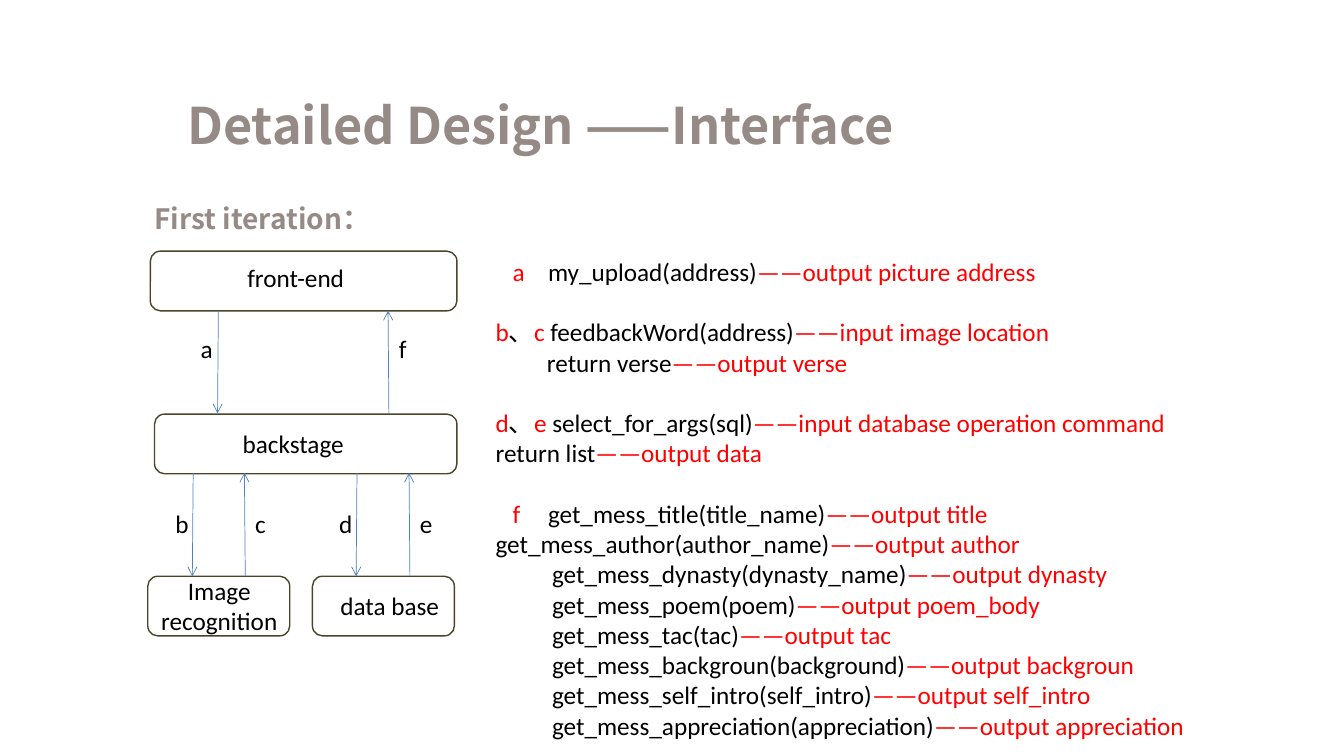
"""Build the interface design slide: a flow of modules beside a list of calls."""
from dataclasses import dataclass

from lxml.etree import SubElement
from pptx import Presentation
from pptx.dml.color import RGBColor
from pptx.enum.shapes import MSO_CONNECTOR, MSO_SHAPE
from pptx.enum.text import MSO_ANCHOR, MSO_AUTO_SIZE, PP_ALIGN
from pptx.oxml.ns import qn
from pptx.util import Inches, Pt

INK = {"head": "968A87", "text": "000000", "note": "FF0000",
       "edge": "4A452A", "flow": "4F81BD"}
SANS, BODY = "Noto Sans CJK SC", "Calibri"
COLS, ROWS = 160, 90
PITCH = 21.6

deck = Presentation()
deck.slide_width, deck.slide_height = Inches(13.33), Inches(7.5)
slide = deck.slides.add_slide(deck.slide_layouts[1])


@dataclass
class Area:
    col: float
    row: float
    wide: float
    high: float


@dataclass
class Node:
    name: str
    box: Area
    label: Area


@dataclass
class Tier:
    top: float
    end: float
    tag: float


@dataclass
class Arrow:
    tag: str
    col: float
    tier: Tier
    down: bool


@dataclass
class Call:
    code: str
    note: str
    mark: str = ""
    left: float = 0
    hang: float = 0
    gap: bool = False


UPPER, LOWER = Tier(37, 49.2, 39.1), Tier(56.3, 68.6, 59.9)
NODES = [
    Node("front-end", Area(17.9, 29.9, 36.5, 7.1), Area(18.6, 30.7, 33.2, 4.8)),
    Node("backstage", Area(18.4, 49.3, 36, 7.1), Area(17.9, 50.4, 34, 4.8)),
    Node("data base", Area(37.2, 68.6, 16.9, 7.1), Area(38.5, 69.7, 15.8, 4.8)),
    Node("Image recognition", Area(17.6, 68.6, 16.9, 7.1), Area(17.2, 67.9, 17.8, 8.5)),
]
ARROWS = [
    Arrow("a", 26, UPPER, True), Arrow("f", 46.3, UPPER, False),
    Arrow("b", 23, LOWER, True), Arrow("c", 29.2, LOWER, False),
    Arrow("d", 42.5, LOWER, True), Arrow("e", 48.8, LOWER, False),
]
CALLS = [
    Call("my_upload(address)", "output picture address", "a\t", 0.52, 0.35),
    Call("feedbackWord(address)", "input image location", "b、c ", gap=True),
    Call("return verse", "output verse", left=0.51),
    Call("select_for_args(sql)", "input database operation command", "d、e ", gap=True),
    Call("return list", "output data"),
    Call("get_mess_title(title_name)", "output title", "f\t", 0.52, 0.35, True),
    Call("get_mess_author(author_name)", "output author"),
] + [Call(f"get_mess_{code}", f"output {note}", left=0.56) for code, note in (
    ("dynasty(dynasty_name)", "dynasty"), ("poem(poem)", "poem_body"),
    ("tac(tac)", "tac"), ("backgroun(background)", "backgroun"),
    ("self_intro(self_intro)", "self_intro"),
    ("appreciation(appreciation)", "appreciation"))]


def across(cols: float) -> int:
    return round(deck.slide_width * cols / COLS)


def along(rows: float) -> int:
    return round(deck.slide_height * rows / ROWS)


def span(area: Area) -> tuple:
    return across(area.col), along(area.row), across(area.wide), along(area.high)


def setup(shape, anchor=MSO_ANCHOR.TOP):
    frame = shape.text_frame
    frame.auto_size = MSO_AUTO_SIZE.NONE
    frame.word_wrap = True
    frame.vertical_anchor = anchor
    return frame


def write(para, text: str, size: float = 18, font: str = BODY, ink: str = "text",
          bold: bool = False, align=PP_ALIGN.LEFT) -> None:
    para.alignment = align
    run = para.add_run()
    run.text = text
    run.font.size, run.font.name, run.font.bold = Pt(size), font, bold
    run.font.color.rgb = RGBColor.from_string(INK[ink])
    if font == SANS:
        SubElement(run.font._element, qn("a:ea")).set("typeface", font)


def label(text: str, area: Area, **form) -> None:
    frame = setup(slide.shapes.add_textbox(*span(area)))
    write(frame.paragraphs[0], text, **form)


def place(shape, area: Area) -> None:
    shape.left, shape.top, shape.width, shape.height = span(area)


def draw_node(node: Node) -> None:
    box = slide.shapes.add_shape(MSO_SHAPE.FLOWCHART_ALTERNATE_PROCESS, *span(node.box))
    box.shadow.inherit = False
    box.fill.background()
    box.line.color.rgb = RGBColor.from_string(INK["edge"])
    box.line.width = Pt(1)
    label(node.name, node.label, align=PP_ALIGN.CENTER)


def draw_arrow(arrow: Arrow) -> None:
    tier = arrow.tier
    start, stop = (tier.top, tier.end) if arrow.down else (tier.end, tier.top)
    line = slide.shapes.add_connector(
        MSO_CONNECTOR.STRAIGHT, across(arrow.col), along(start),
        across(arrow.col - 0.1), along(stop))
    line.line.color.rgb = RGBColor.from_string(INK["flow"])
    line.line.width = Pt(0.5)
    SubElement(line.line._get_or_add_ln(), qn("a:tailEnd")).set("type", "arrow")
    SubElement(line._element.spPr, qn("a:effectLst"))
    side = arrow.col - 3.3 if arrow.down else arrow.col
    label(arrow.tag, Area(side, tier.tag, 3.2, 4.8))


def draw_call(para, call: Call) -> None:
    props = para._p.get_or_add_pPr()
    props.set("marL", str(Inches(call.left)))
    props.set("indent", str(-Inches(call.hang)))
    SubElement(props, qn("a:buNone"))
    para.line_spacing = Pt(PITCH)
    para.space_before = Pt(PITCH if call.gap else 0)
    first, comma, last = call.mark.partition("、")
    for text, ink in ((first, "note"), (comma, "text"), (last, "note"),
                      (call.code, "text"), ("——" + call.note, "note")):
        if text:
            write(para, text, ink=ink)


def main() -> None:
    title, body = slide.placeholders
    place(title, Area(21.1, 10.6, 98.4, 8.5))
    write(setup(title, MSO_ANCHOR.MIDDLE).paragraphs[0], "Detailed Design ——Interface",
          size=36, font=SANS, ink="head", bold=True)
    label("First iteration：", Area(17.2, 23.4, 41.8, 5.3),
          size=20, font=SANS, ink="head", bold=True)
    for node in NODES:
        draw_node(node)
    for arrow in ARROWS:
        draw_arrow(arrow)
    place(body, Area(57.8, 29.9, 102.2, 60))
    frame = setup(body)
    for num, call in enumerate(CALLS):
        draw_call(frame.add_paragraph() if num else frame.paragraphs[0], call)
    deck.save("out.pptx")


if __name__ == "__main__":
    main()
